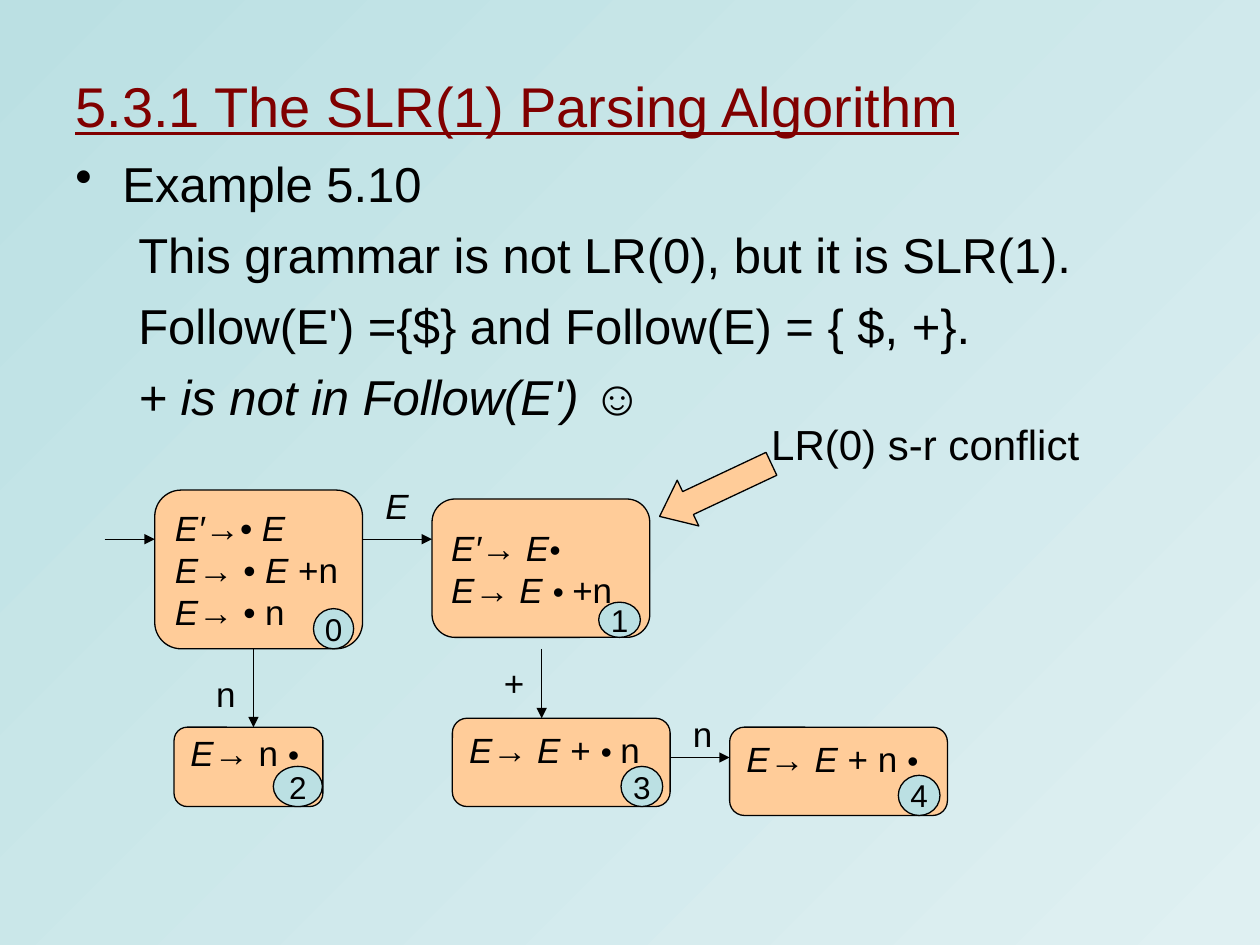
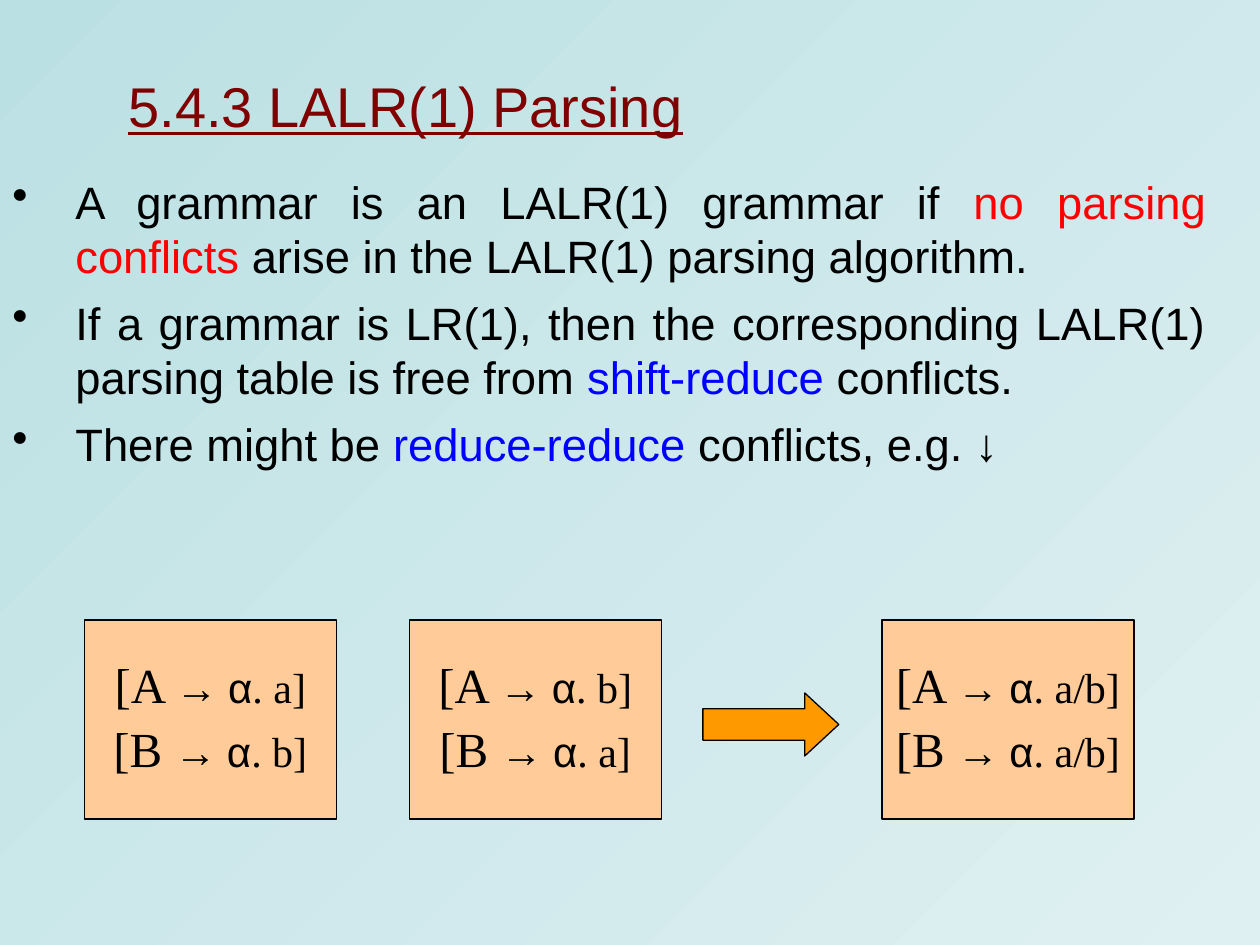
from lxml.etree import SubElement
from pptx import Presentation
from pptx.dml.color import RGBColor
from pptx.enum.shapes import MSO_CONNECTOR, MSO_SHAPE as SHAPE
from pptx.enum.text import MSO_ANCHOR as ANCHOR, PP_ALIGN as ALIGN
from pptx.oxml.ns import qn
from pptx.util import Cm, Pt

COLORS = {
    "background_start": "BBE0E3", "background_end": "DFF0F2",
    "title": "800000", "text": "000000", "line": "000000",
    "state": "FFCC99", "badge": "BBE0E3", "merge": "FF9900",
    "conflict": "FF0000", "kind": "0000FF",
}
BODY_SPACE = 7


def add_box(slide, kind, place, fill=None, anchor=ANCHOR.MIDDLE, wrap=False):
    """Add a filled preset shape, or a plain text box when kind is None."""
    lengths = [Cm(length) for length in place]
    if kind is None:
        shape = slide.shapes.add_textbox(*lengths)
    else:
        shape = slide.shapes.add_shape(kind, *lengths)
        shape.shadow.inherit = False
        shape.fill.solid()
        shape.fill.fore_color.rgb = RGBColor.from_string(COLORS[fill])
        shape.line.color.rgb = RGBColor.from_string(COLORS["line"])
        shape.line.width = Pt(0.75)
    shape.text_frame.word_wrap = wrap
    shape.text_frame.vertical_anchor = anchor
    return shape


def write(shape, lines, size, align=ALIGN.LEFT, space=0, style=lambda segment: {}):
    """Write one paragraph per line; "|" separates runs, style gives their differences."""
    text_frame = shape.text_frame
    for index, line in enumerate(lines):
        paragraph = text_frame.add_paragraph() if index else text_frame.paragraphs[0]
        paragraph.alignment = align
        if index:
            paragraph.space_before = Pt(space)
        for segment in line.split("|"):
            look = {"size": size, "color": "text", "font": "Arial", **style(segment)}
            run = paragraph.add_run()
            run.text = segment
            run.font.size = Pt(look["size"])
            run.font.name = look["font"]
            run.font.italic = look.get("italic", False)
            run.font.underline = look.get("underline", False)
            run.font.color.rgb = RGBColor.from_string(COLORS[look["color"]])
    return text_frame.paragraphs


presentation = Presentation()
presentation.slide_width, presentation.slide_height = Cm(25.4), Cm(19.05)

# Shared frame: background, title and body text
pages = [
    {
        "title": "5.3.1 The SLR(1) Parsing Algorithm", "title_left": 1.27,
        "body": (1.27, 2.97, 20.96, 6.55), "size": 28, "align": ALIGN.LEFT,
        "lines": ["Example 5.10",
                  "This grammar is not LR(0), but it is SLR(1).",
                  "Follow(E') ={$} and Follow(E) = { $, +}.",
                  "+ is not in Follow(E') ☺"],
        "bullets": 1, "indent": 0.95,
        "style": lambda segment: {"italic": segment.startswith("+")},
    },
    {
        "title": "5.4.3 LALR(1) Parsing", "title_left": 2.34,
        "body": (0, 3.38, 24.56, 6.78), "size": 25.9, "align": ALIGN.JUSTIFY,
        "lines": ["A grammar is an LALR(1) grammar if |no parsing conflicts"
                  "| arise in the LALR(1) parsing algorithm.",
                  "If a grammar is LR(1), then the corresponding LALR(1) parsing "
                  "table is free from |shift-reduce |conflicts.",
                  "There might be |reduce-reduce |conflicts, e.g. ↓"],
        "bullets": 3, "indent": 1.27,
        "style": lambda segment: {"color": {
            "no parsing conflicts": "conflict",
            "shift-reduce ": "kind", "reduce-reduce ": "kind"}.get(segment, "text")},
    },
]
for page in pages:
    slide = presentation.slides.add_slide(presentation.slide_layouts[6])
    background = slide.background.fill
    background.gradient()
    background.gradient_angle = 315
    for stop, name in zip(background.gradient_stops, ("background_start", "background_end")):
        stop.color.rgb = RGBColor.from_string(COLORS[name])

    title = add_box(slide, None, (page["title_left"], 1.27, 21.59, 1.7), wrap=True)
    write(title, [page["title"]], 32,
          style=lambda segment: {"color": "title", "underline": True})

    body = add_box(slide, None, page["body"], anchor=ANCHOR.TOP, wrap=True)
    paragraphs = write(body, page["lines"], page["size"], page["align"],
                       BODY_SPACE, page["style"])
    for index, paragraph in enumerate(paragraphs):
        bulleted = index < page["bullets"]
        left, hanging = (page["indent"],) * 2 if bulleted else (2.06, 0.79)
        properties = paragraph._p.get_or_add_pPr()
        properties.set("marL", str(Cm(left)))
        properties.set("indent", str(-Cm(hanging)))
        if bulleted:
            SubElement(properties, qn("a:buChar"), char="•")

slr_slide, lalr_slide = presentation.slides

# Slide 1: automaton states with their number badges (left, width, height)
states = [
    ((3.12, 9.88, 4.19, 3.2), (6.32, 0.81, 0.81), 20,
     ["E′|→|• E", "E|→ |• E |+n", "E|→ |• |n"]),
    ((8.71, 10.06, 4.39, 2.79), (12.07, 0.84, 0.71), 18,
     ["E′|→| E|•", "E|→ |E |• |+n"]),
    ((3.51, 14.66, 3, 1.6), (5.51, 0.99, 0.81), 18, ["E|→ n |•"]),
    ((9.12, 14.48, 4.39, 1.78), (12.52, 0.84, 0.81), 18, ["E|→ |E |+ |• |n"]),
    ((14.71, 14.66, 4.39, 1.78), (18.11, 0.84, 0.81), 18, ["E|→ |E |+ n |•"]),
]
for number, (place, badge_place, dot_size, items) in enumerate(states):
    anchor = ANCHOR.MIDDLE if len(items) > 1 else ANCHOR.TOP
    state = add_box(slr_slide, SHAPE.ROUNDED_RECTANGLE, place, "state", anchor)
    if number == 2:
        state.text_frame.margin_top = 0
    write(state, items, 20, style=lambda segment: {
        "italic": segment.strip()[0] in "E•",
        "size": dot_size if segment.strip() == "•" else 20})
    badge_left, badge_width, badge_height = badge_place
    badge_top = place[1] + place[3] - badge_height
    badge = add_box(slr_slide, SHAPE.OVAL,
                    (badge_left, badge_top, badge_width, badge_height), "badge")
    write(badge, [str(number)], 18, ALIGN.CENTER)

# Slide 1: transitions and their symbols
transitions = [
    (2.11, 10.87, 3.12, 10.87),
    (7.32, 10.87, 8.71, 10.87),
    (5.11, 13.08, 5.11, 14.66),
    (10.92, 13.08, 10.92, 14.48),
    (13.51, 15.27, 14.71, 15.27),
]
for ends in transitions:
    arrow = slr_slide.shapes.add_connector(
        MSO_CONNECTOR.STRAIGHT, *[Cm(length) for length in ends])
    arrow.line.color.rgb = RGBColor.from_string(COLORS["line"])
    arrow.line.width = Pt(0.75)
    SubElement(arrow.line._get_or_add_ln(), qn("a:tailEnd"), type="triangle")
    SubElement(arrow._element.spPr, qn("a:effectLst"))

for symbol, left, top in [("E", 7.52, 9.88), ("n", 4.11, 13.67),
                          ("+", 9.91, 13.46), ("n", 13.72, 14.48)]:
    label = add_box(slr_slide, None, (left, top, 0.81, 0.61))
    write(label, [symbol], 20, ALIGN.CENTER,
          style=lambda segment: {"italic": segment == "E"})

# Slide 1: conflict callout
callout = add_box(slr_slide, None, (14.25, 8.05, 9.04, 1.8))
write(callout, ["LR(0) s-r conflict "], 24, ALIGN.CENTER)
pointer = add_box(slr_slide, SHAPE.LEFT_ARROW, (13.18, 9.37, 2.49, 1.02), "state")
pointer.adjustments[1] = 0.62
pointer.rotation = 334.8

# Slide 2: two item sets and their merger
item_styles = {"→ ": {"size": 24}, "α": {"size": 24, "font": "Arial"},
               "[A ": {"size": 28}, "[B ": {"size": 28}}
for left, first, second in [(1.7, "a", "b"), (8.25, "b", "a"), (17.78, "a/b", "a/b")]:
    item_set = add_box(lalr_slide, SHAPE.RECTANGLE, (left, 12.5, 5.08, 4.01), "state")
    paragraphs = write(
        item_set, [f"[A |→ |α|. {first}]", f"[B |→ |α|. {second}]"], 24, ALIGN.CENTER, 6,
        lambda segment: {"font": "Times New Roman", **item_styles.get(segment, {})})
    for paragraph in paragraphs:
        paragraph.line_spacing = 0.9

merge_arrow = add_box(lalr_slide, SHAPE.RIGHT_ARROW, (14.17, 13.97, 2.74, 1.27), "merge")
merge_arrow.adjustments[1] = 0.54

presentation.save("out.pptx")
